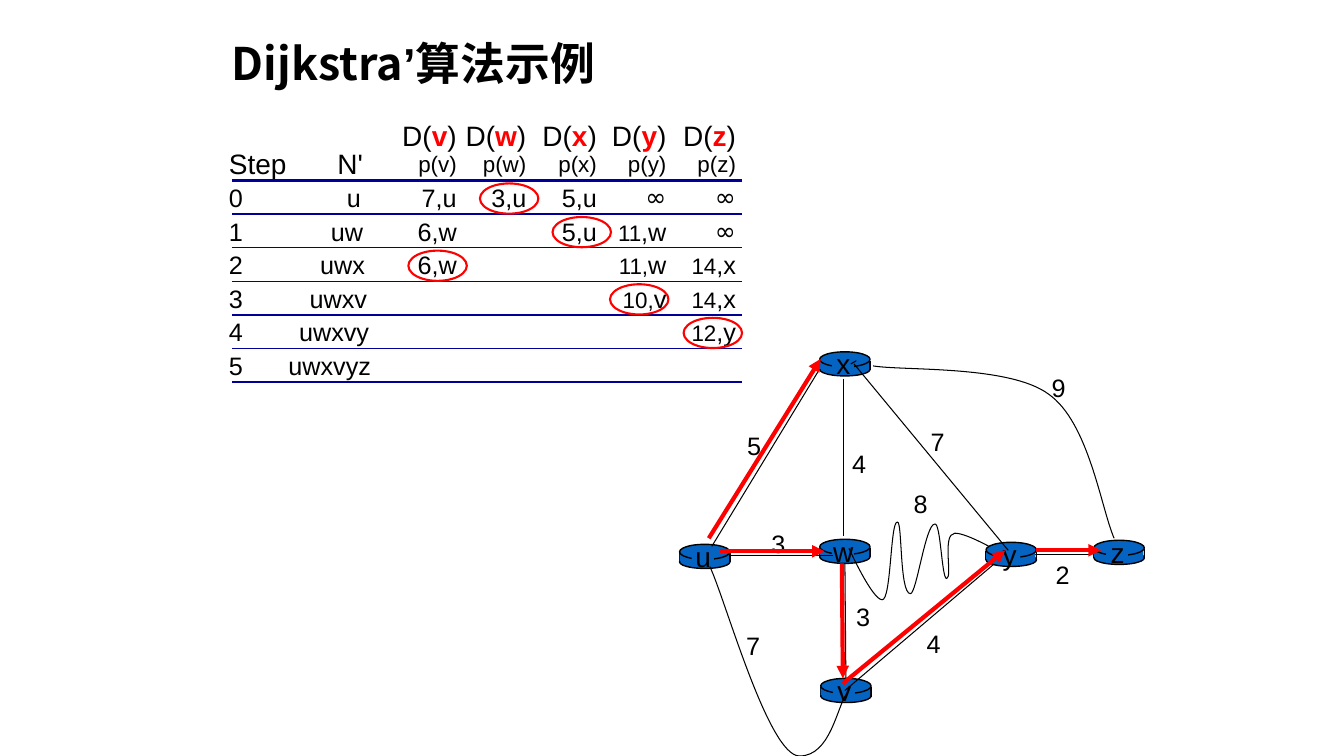
"""Build the slide that works through Dijkstra's algorithm on a six-node network."""
from dataclasses import dataclass

from lxml.etree import SubElement
from pptx import Presentation
from pptx.dml.color import RGBColor
from pptx.enum.shapes import MSO_CONNECTOR, MSO_SHAPE
from pptx.enum.text import MSO_ANCHOR, MSO_AUTO_SIZE, PP_ALIGN
from pptx.oxml.ns import qn
from pptx.util import Inches, Pt

BLACK, RED, BLUE, NAVY = "000000", "FF0000", "0563C1", "000099"
ARIAL, TITLE_FONT, INFINITY_FONT = "Arial", "Noto Sans CJK SC", "Comic Neue"
NO_GRID_STYLE = "{2D5ABB26-0587-4C30-8999-92F81FD0307C}"
TABLE_LEFT, TABLE_TOP, HEADER_HEIGHT, STEP_HEIGHT = 2.27, 1.1, 0.69, 1 / 3
COLUMN_WIDTHS = (0.58, 0.83, 0.92, 0.69, 0.7, 0.69, 0.69)
STEPS = (
    ("0", "u", "7,u", "3,u", "5,u", "∞", "∞"),
    ("1", "uw", "6,w", "", "5,u", "11|,w", "∞"),
    ("2", "uwx", "6,w", "", "", "11,|w", "14|,x"),
    ("3", "uwxv", "", "", "", "10,|v", "14|,x"),
    ("4", "uwxvy", "", "", "", "", "12|,y"),
    ("5", "uwxvyz", "", "", "", "", ""),
)
CHOICE_LEFTS = (4.76, 5.48, 4.05, 6.05, 6.78)


@dataclass(frozen=True)
class Node:
    name: str
    left: float
    top: float


@dataclass(frozen=True)
class Edge:
    x1: float
    y1: float
    x2: float
    y2: float


@dataclass(frozen=True)
class Cost:
    text: str
    left: float
    top: float


WEST_NODES = (Node("w", 8.13, 5.35), Node("v", 8.14, 6.73), Node("x", 8.13, 3.49), Node("u", 6.74, 5.4))
EAST_NODES = (Node("y", 9.78, 5.38), Node("z", 10.85, 5.36))
LINKS = (
    Edge(7.25, 5.51, 8.26, 5.51), Edge(8.37, 3.76, 8.37, 5.32), Edge(8.13, 3.66, 7.06, 5.42),
    Edge(8.38, 5.59, 8.39, 6.75), Edge(9.96, 5.51, 8.38, 6.85), Edge(10.27, 5.5, 10.83, 5.5),
)
LINK_XY = Edge(8.47, 3.61, 10, 5.46)
SHORTEST_PATHS = (
    Edge(10.28, 5.46, 10.92, 5.46), Edge(8.36, 6.78, 9.97, 5.46), Edge(8.35, 5.59, 8.36, 6.73),
    Edge(7.03, 5.34, 8.14, 3.56), Edge(7.14, 5.47, 8.18, 5.47),
)
COSTS = (
    Cost("3", 7.55, 5.19), Cost("4", 8.35, 4.4), Cost("5", 7.31, 4.22), Cost("3", 8.39, 5.92),
    Cost("7", 7.3, 6.2), Cost("4", 9.09, 6.18), Cost("8", 8.96, 4.8), Cost("2", 10.37, 5.5),
    Cost("7", 9.13, 4.18), Cost("9", 10.33, 3.64),
)
CURVED_LINKS = (
    ((7.04, 5.62), (7.19, 5.93), (7.62, 7.5), (7.93, 7.5), (8.24, 7.5), (8.3, 7.01), (8.4, 6.88)),
    ((8.42, 5.44), (8.42, 5.44), (8.65, 5.95), (8.75, 5.95), (8.84, 5.95), (8.83, 5.17), (8.9, 5.18),
     (8.95, 5.16), (8.92, 5.89), (9.03, 5.89), (9.09, 5.89), (9.18, 5.2), (9.27, 5.2),
     (9.33, 5.17), (9.34, 5.75), (9.39, 5.74), (9.45, 5.72), (9.34, 5.3), (9.47, 5.29),
     (9.6, 5.29), (9.89, 5.47), (10, 5.52)),
    ((8.44, 3.61), (8.46, 3.6), (8.49, 3.58), (8.49, 3.58), (8.49, 3.58), (8.46, 3.6), (8.44, 3.61)),
    ((8.66, 3.63), (8.95, 3.68), (10.01, 3.62), (10.4, 3.91), (10.8, 4.19), (10.92, 5.04), (11.05, 5.34)),
)


def rgb(value: str) -> RGBColor:
    return RGBColor.from_string(value)


def style(font, size: float, color: str = BLACK, name: str = ARIAL, bold: bool = False) -> None:
    font.size, font.name, font.bold = Pt(size), name, bold
    font.color.rgb = rgb(color)


def add_title(slide, *pieces: tuple[str, str]) -> None:
    title = slide.shapes.title
    title.left, title.top, title.width, title.height = Inches(2.2), 0, Inches(8.5), Inches(1.25)
    frame = title.text_frame
    frame.vertical_anchor, frame.auto_size = MSO_ANCHOR.MIDDLE, MSO_AUTO_SIZE.NONE
    heading = frame.paragraphs[0]
    heading.alignment = PP_ALIGN.LEFT
    for text, typeface in pieces:
        run = heading.add_run()
        run.text = text
        style(run.font, 32, name=typeface, bold=True)
        SubElement(run._r.get_or_add_rPr(), qn("a:ea"), typeface=typeface)


def add_label(slide, text: str, left: float, top: float, width: float, height: float, size: float) -> None:
    frame = slide.shapes.add_textbox(Inches(left), Inches(top), Inches(width), Inches(height)).text_frame
    frame.text, frame.word_wrap, frame.auto_size = text, False, MSO_AUTO_SIZE.SHAPE_TO_FIT_TEXT
    frame.paragraphs[0].alignment = PP_ALIGN.CENTER
    style(frame.paragraphs[0].font, size)


def add_part(slide, kind, left: float, top: float, width: float, height: float,
             fill: str = "", line: str = "", weight: float = 1) -> None:
    part = slide.shapes.add_shape(kind, Inches(left), Inches(top), Inches(width), Inches(height))
    part.shadow.inherit = False
    if fill:
        part.fill.solid()
        part.fill.fore_color.rgb = rgb(fill)
    else:
        part.fill.background()
    if line:
        part.line.color.rgb, part.line.width = rgb(line), Pt(weight)
    else:
        part.line.fill.background()


def add_edge(slide, edge: Edge, color: str = BLACK, weight: float = 0.75, arrow: bool = False) -> None:
    link = slide.shapes.add_connector(MSO_CONNECTOR.STRAIGHT, Inches(edge.x1), Inches(edge.y1),
                                      Inches(edge.x2), Inches(edge.y2))
    link.line.color.rgb, link.line.width = rgb(color), Pt(weight)
    if arrow:
        SubElement(link.line._get_or_add_ln(), qn("a:tailEnd"), type="triangle")
    SubElement(link._element.spPr, qn("a:effectLst"))


def add_curve(slide, controls: tuple) -> None:
    start, *others = [(Inches(x), Inches(y)) for x, y in controls]
    builder = slide.shapes.build_freeform(*start)
    builder.add_line_segments(others, close=False)
    curve = builder.convert_to_shape()
    curve.shadow.inherit = False
    curve.fill.background()
    curve.line.color.rgb, curve.line.width = rgb(BLACK), Pt(0.75)
    segments = list(curve._element.iter(qn("a:lnTo")))
    outline = segments[0].getparent()
    for first in range(0, len(segments), 3):
        bend = SubElement(outline, qn("a:cubicBezTo"))
        for segment in segments[first:first + 3]:
            bend.append(segment[0])
            outline.remove(segment)


def add_node(slide, node: Node) -> None:
    left, top = node.left, node.top
    add_part(slide, MSO_SHAPE.OVAL, left, top + 0.11, 0.5, 0.13, BLUE, BLACK)
    for side in (left, left + 0.5):
        add_edge(slide, Edge(side, top + 0.09, side, top + 0.18), weight=1)
    add_part(slide, MSO_SHAPE.RECTANGLE, left, top + 0.09, 0.49, 0.08, BLUE)
    add_part(slide, MSO_SHAPE.OVAL, left, top, 0.5, 0.15, BLUE, BLACK)
    add_part(slide, MSO_SHAPE.RECTANGLE, left + 0.12, top + 0.05, 0.22, 0.17, BLUE)
    add_label(slide, node.name, left + 0.03, top - 0.1, 0.41, 0.44, 20)


def fill_header(cell, text: str) -> None:
    heading = cell.text_frame.paragraphs[0]
    if len(text) > 1:
        heading.text = text
        style(heading.font, 20)
        return
    cell.margin_bottom = Inches(0.03)
    for piece, marked in (("D(", False), (text, True), (")", False)):
        run = heading.add_run()
        run.text = piece
        style(run.font, 20, RED if marked else BLACK, bold=marked)
    parent = cell.text_frame.add_paragraph()
    parent.text, parent.alignment = f"p({text})", PP_ALIGN.RIGHT
    style(parent.font, 16)


def fill_step(cell, text: str) -> None:
    cell.margin_top = Inches(0.03)
    entry = cell.text_frame.paragraphs[0]
    style(entry.font, 18, name=INFINITY_FONT if text == "∞" else ARIAL)
    small, split, rest = text.partition("|")
    if not split:
        entry.text = text
        return
    for piece, size in ((small, 16), (rest, 18)):
        run = entry.add_run()
        run.text, run.font.size = piece, Pt(size)


def add_steps(slide) -> None:
    rows = (("Step", "N'", *"vwxyz"), *STEPS)
    frame = slide.shapes.add_table(
        len(rows), len(COLUMN_WIDTHS), Inches(TABLE_LEFT), Inches(TABLE_TOP), Inches(sum(COLUMN_WIDTHS)),
        Inches(HEADER_HEIGHT + STEP_HEIGHT * len(STEPS)))
    table = frame.table
    table.first_row = table.horz_banding = False
    next(frame._element.iter(qn("a:tableStyleId"))).text = NO_GRID_STYLE
    for column, width in zip(table.columns, COLUMN_WIDTHS):
        column.width = Inches(width)
    for r, texts in enumerate(rows):
        table.rows[r].height = Inches(STEP_HEIGHT if r else HEADER_HEIGHT)
        for c, text in enumerate(texts):
            cell = table.cell(r, c)
            cell.margin_left = cell.margin_top = cell.margin_bottom = 0
            cell.margin_right = Inches((0, 0.02 * (6 - len(text)))[c] if c < 2 else 0.07)
            cell.vertical_anchor = MSO_ANCHOR.MIDDLE if r else MSO_ANCHOR.BOTTOM
            cell.text_frame.paragraphs[0].alignment = PP_ALIGN.RIGHT if c else PP_ALIGN.LEFT
            (fill_step if r else fill_header)(cell, text)
            cell.fill.background()
        rule = TABLE_TOP + HEADER_HEIGHT + r * STEP_HEIGHT
        add_edge(slide, Edge(2.3, rule, 7.36, rule), NAVY, 1 if r else 2.25)


def main() -> None:
    deck = Presentation()
    deck.slide_width, deck.slide_height = Inches(13.33), Inches(7.5)
    slide = deck.slides.add_slide(deck.slide_layouts[5])
    add_title(slide, ("Dijkstra", TITLE_FONT), ("’", ARIAL), ("算法示例", TITLE_FONT))
    for node in WEST_NODES:
        add_node(slide, node)
    for link in LINKS:
        add_edge(slide, link)
    for controls in CURVED_LINKS:
        add_curve(slide, controls)
    for node in EAST_NODES:
        add_node(slide, node)
    add_edge(slide, LINK_XY)
    for cost in COSTS:
        add_label(slide, cost.text, cost.left, cost.top, 0.34, 0.4, 18)
    add_steps(slide)
    for step, left in enumerate(CHOICE_LEFTS):
        add_part(slide, MSO_SHAPE.OVAL, left, 1.82 + step * STEP_HEIGHT, 0.58, 0.3, line=RED, weight=1.5)
    for path in SHORTEST_PATHS:
        add_edge(slide, path, RED, 3, arrow=True)
    deck.save("out.pptx")


if __name__ == "__main__":
    main()
